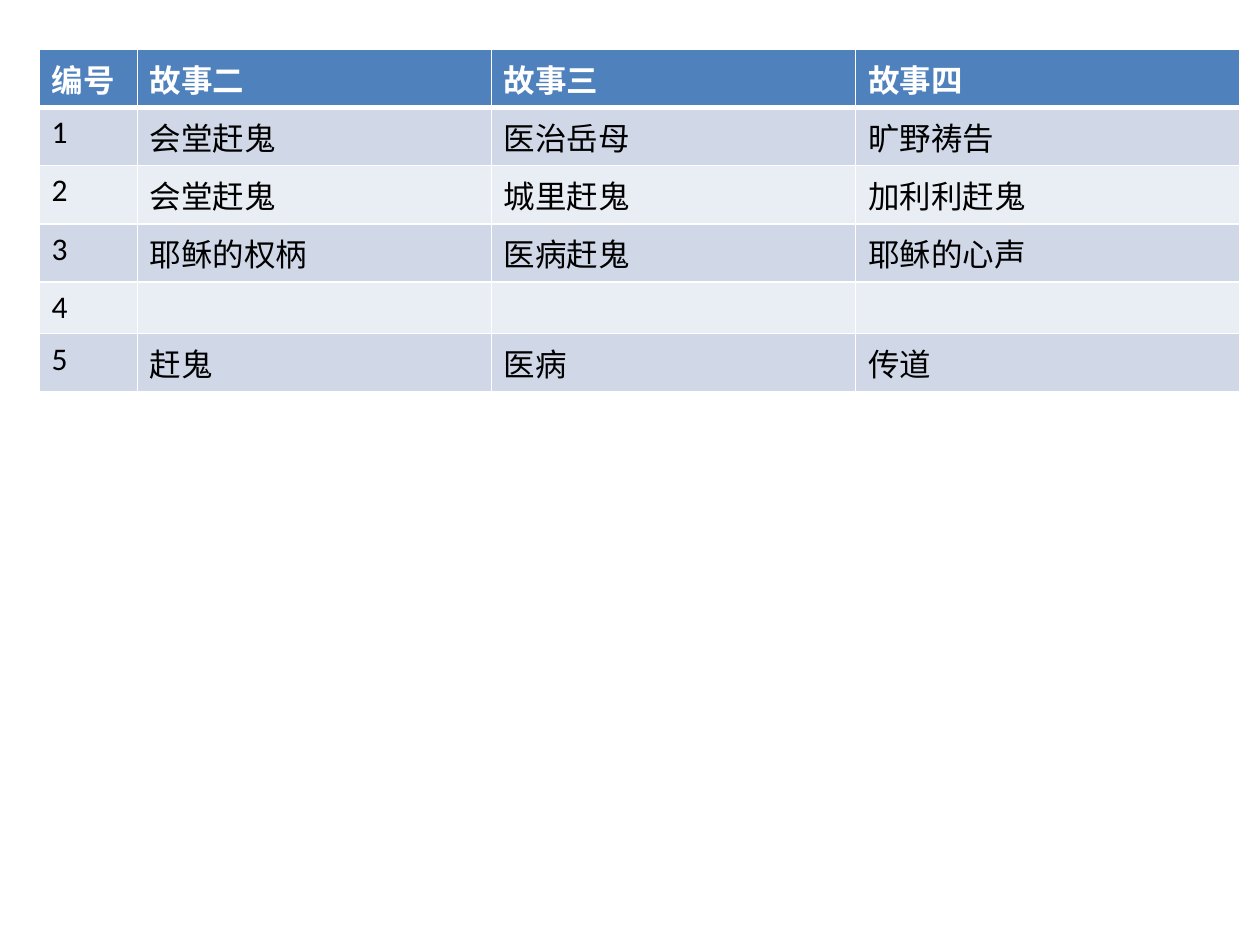
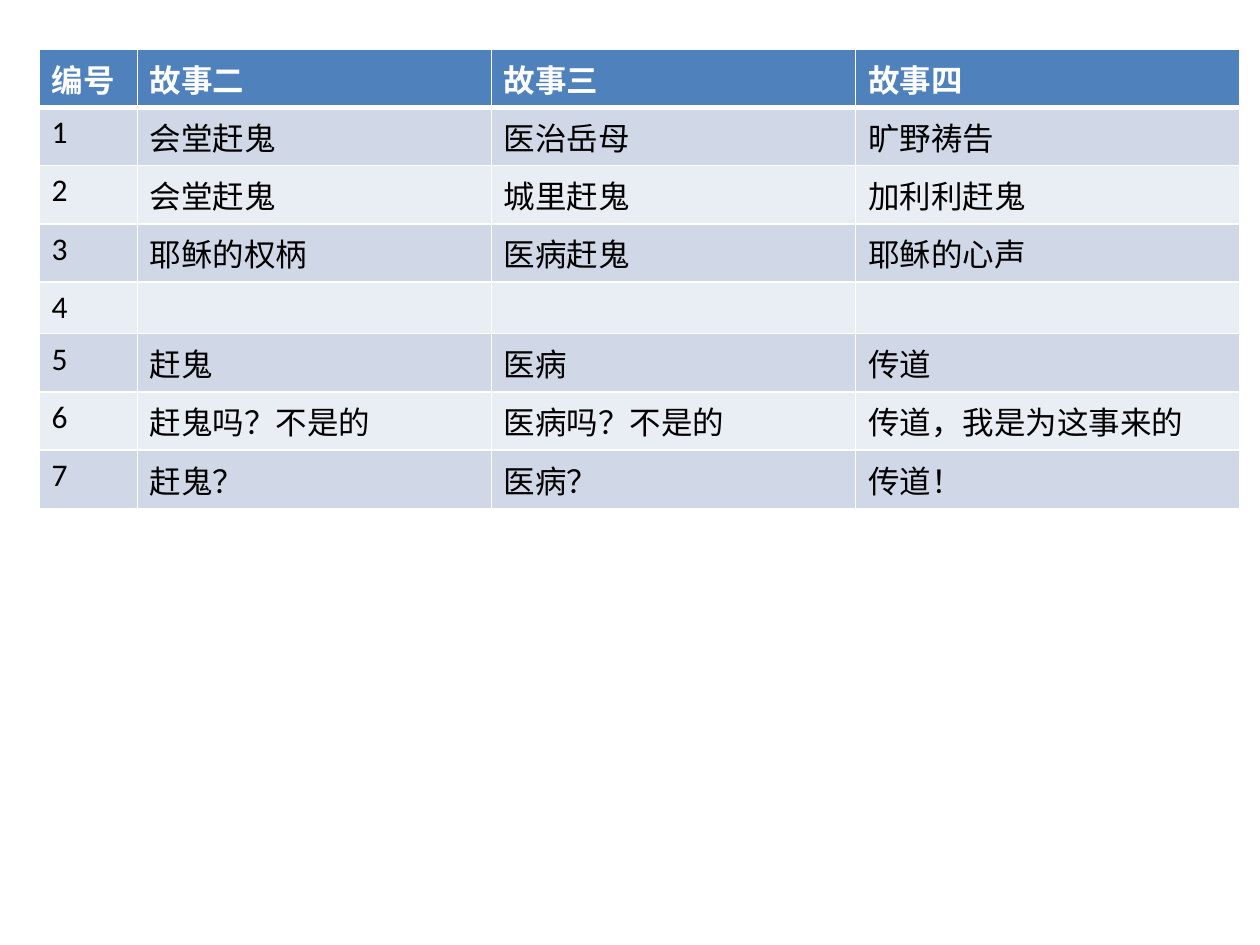
from dataclasses import dataclass

from lxml import etree
from pptx import Presentation
from pptx.dml.color import RGBColor
from pptx.oxml import ns
from pptx.util import Inches, Pt


@dataclass(frozen=True)
class Theme:
    font: str = "Calibri"
    size: int = 18
    header_fill: str = "4F81BD"
    header_text: str = "FFFFFF"
    body_text: str = "000000"
    bands: tuple = ("D0D8E8", "E9EDF4")
    rule: str = "FFFFFF"
    thin: int = 1
    thick: int = 3


THEME = Theme()
BLANK_LAYOUT = 6
TABLE_BOX = (0.31, 0.39)
COLUMN_WIDTHS = (0.78, 2.81, 2.89, 3.05)
ROW_HEIGHT = 0.41

HEADER = ("编号", "故事二", "故事三", "故事四")
FIRST_STORIES = [
    ("会堂赶鬼", "医治岳母", "旷野祷告"),
    ("会堂赶鬼", "城里赶鬼", "加利利赶鬼"),
    ("耶稣的权柄", "医病赶鬼", "耶稣的心声"),
    ("", "", ""),
    ("赶鬼", "医病", "传道"),
]
MORE_STORIES = [
    ("赶鬼吗？不是的", "医病吗？不是的", "传道，我是为这事来的"),
    ("赶鬼？", "医病？", "传道！"),
]


def set_borders(cell, bottom):
    """Rule all four sides of a cell; bottom is the lower line's width in points."""
    tc_pr = cell._tc.get_or_add_tcPr()
    widths = {"a:lnL": THEME.thin, "a:lnR": THEME.thin,
              "a:lnT": THEME.thin, "a:lnB": bottom}
    for i, (tag, width) in enumerate(widths.items()):
        line = etree.Element(ns.qn(tag), w=str(Pt(width)))
        fill = etree.SubElement(line, ns.qn("a:solidFill"))
        etree.SubElement(fill, ns.qn("a:srgbClr"), val=THEME.rule)
        tc_pr.insert(i, line)


def fill_cell(cell, words, fill, color, bold):
    cell.fill.solid()
    cell.fill.fore_color.rgb = RGBColor.from_string(fill)
    p = cell.text_frame.paragraphs[0]
    if words:
        p.text = words
    p.font.name = THEME.font
    p.font.size = Pt(THEME.size)
    p.font.bold = bold
    p.font.color.rgb = RGBColor.from_string(color)


def add_story_table(slide, box, stories):
    """Place a numbered table of stories with its top left corner at box."""
    rows = [HEADER] + [(str(n), *names) for n, names in enumerate(stories, 1)]
    left, top = box
    table = slide.shapes.add_table(
        len(rows), len(HEADER), Inches(left), Inches(top),
        Inches(sum(COLUMN_WIDTHS)), Inches(ROW_HEIGHT * len(rows))).table
    for column, width in zip(table.columns, COLUMN_WIDTHS):
        column.width = Inches(width)

    for i, row in enumerate(rows):
        table.rows[i].height = Inches(ROW_HEIGHT)
        is_header = i == 0
        fill = THEME.header_fill if is_header else THEME.bands[(i - 1) % 2]
        color = THEME.header_text if is_header else THEME.body_text
        for j, words in enumerate(row):
            cell = table.cell(i, j)
            fill_cell(cell, words, fill, color, is_header)
            set_borders(cell, THEME.thick if is_header else THEME.thin)


def add_story_slide(prs, stories):
    slide = prs.slides.add_slide(prs.slide_layouts[BLANK_LAYOUT])
    add_story_table(slide, TABLE_BOX, stories)


def main():
    prs = Presentation()
    prs.slide_width, prs.slide_height = Inches(10), Inches(7.5)
    add_story_slide(prs, FIRST_STORIES)
    add_story_slide(prs, FIRST_STORIES + MORE_STORIES)
    prs.save("out.pptx")


if __name__ == "__main__":
    main()
